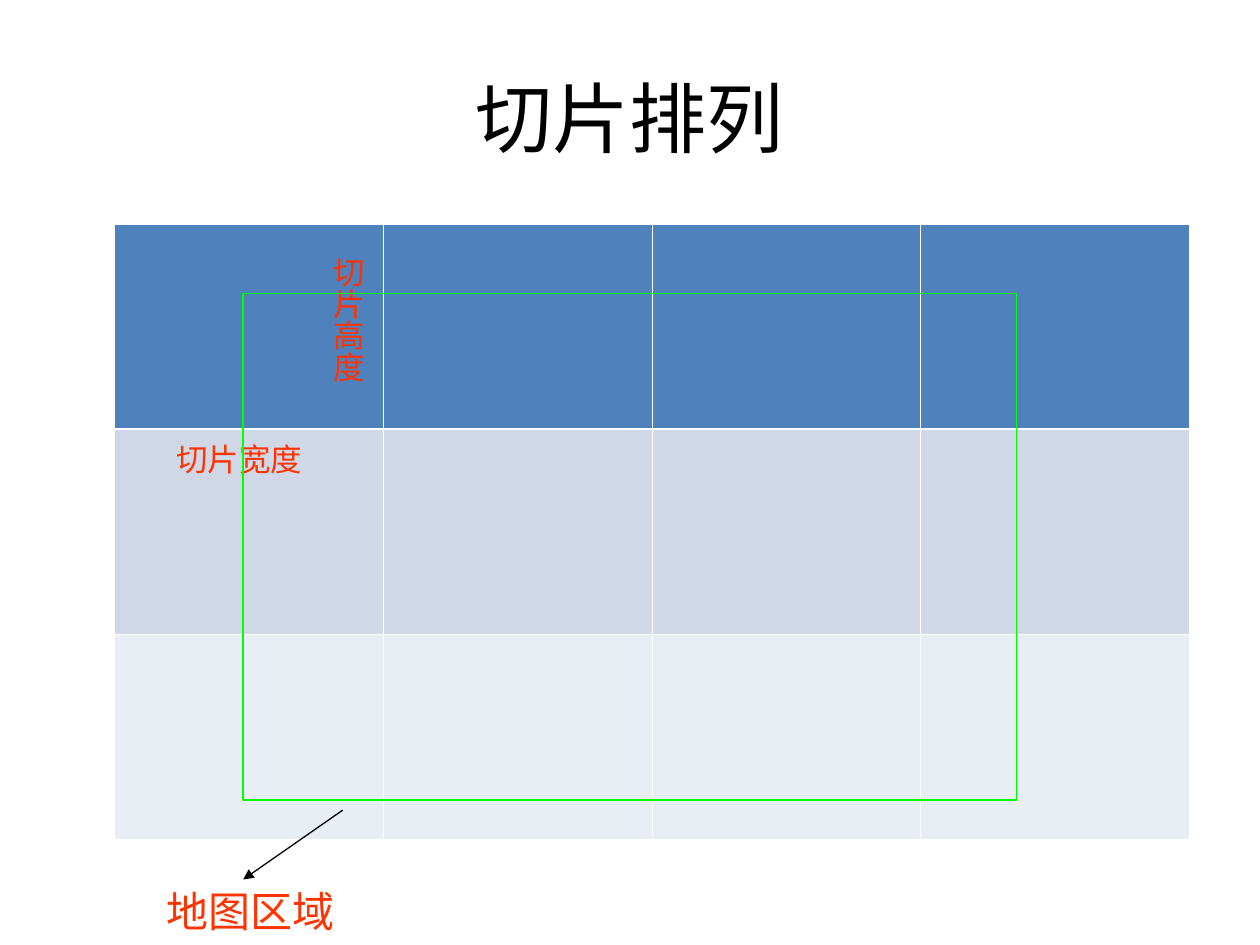
from dataclasses import dataclass

from lxml import etree
from pptx import Presentation
from pptx import util as u
from pptx.dml.color import RGBColor
from pptx.enum import shapes, text
from pptx.oxml.ns import qn
from pptx.slide import Slide


@dataclass(frozen=True)
class Theme:
    font: str = "Arial"
    ink: str = "000000"
    accent: str = "FF3300"
    region: str = "00FF00"
    grid: str = "FFFFFF"
    tile_rows: tuple[str, ...] = ("4F81BD", "D0D8E8", "E9EDF4")
    title_size: float = 44
    caption_size: float = 24
    label_size: float = 18
    outline: float = 0.75
    grid_line: float = 0.45
    header_line: float = 1.47


@dataclass(frozen=True)
class Area:
    left: float
    top: float
    width: float
    height: float

    def lengths(self) -> tuple[u.Length, ...]:
        return tuple(u.Inches(v) for v in (self.left, self.top, self.width, self.height))


@dataclass(frozen=True)
class Label:
    words: str
    area: Area
    size: float
    vertical: bool = False


THEME = Theme()
COLUMNS = 4
TITLE_AREA = Area(0.5, 0.3, 9, 1.25)
TILE_AREA = Area(0.91, 1.78, 8.53, 4.88)
MAP_AREA = Area(1.93, 2.33, 6.14, 4.02)
LABELS = (
    Label("切片宽度", Area(1.3, 3.44, 1.29, 0.4), THEME.label_size),
    Label("切片高度", Area(2.46, 1.94, 0.5, 1.34), THEME.label_size, vertical=True),
)
CAPTION = Label("地图区域", Area(1.22, 6.98, 2.42, 0.5), THEME.caption_size)


def add_text(page: Slide, words: str, area: Area, *, size: float,
             color: str = THEME.accent, align=text.PP_ALIGN.LEFT,
             anchor=text.MSO_ANCHOR.TOP, vertical: bool = False) -> None:
    frame = page.shapes.add_textbox(*area.lengths()).text_frame
    frame.word_wrap = True
    frame.vertical_anchor = anchor
    across, down = (0.05, 0.1) if vertical else (0.1, 0.05)
    frame.margin_left = frame.margin_right = u.Inches(across)
    frame.margin_top = frame.margin_bottom = u.Inches(down)
    if vertical:
        frame._txBody.bodyPr.set("vert", "eaVert")
    para = frame.paragraphs[0]
    para.alignment = align
    span = para.add_run()
    span.text = words
    span.font.name = THEME.font
    span.font.size = u.Pt(size)
    span.font.color.rgb = RGBColor.from_string(color)


def add_label(page: Slide, label: Label) -> None:
    add_text(page, label.words, label.area, size=label.size, vertical=label.vertical)


def add_border(cell, side: str, width: float) -> None:
    properties = cell._tc.get_or_add_tcPr()
    line = etree.SubElement(properties, qn(f"a:ln{side}"), w=str(u.Pt(width)))
    fill = etree.SubElement(line, qn("a:solidFill"))
    etree.SubElement(fill, qn("a:srgbClr"), val=THEME.grid)


def add_tiles(page: Slide) -> None:
    rows = len(THEME.tile_rows)
    table = page.shapes.add_table(rows, COLUMNS, *TILE_AREA.lengths()).table
    for r, color in enumerate(THEME.tile_rows):
        for cell in table.rows[r].cells:
            for side in "LRTB":
                under_header = (r, side) in ((0, "B"), (1, "T"))
                add_border(cell, side, THEME.header_line if under_header else THEME.grid_line)
            cell.fill.solid()
            cell.fill.fore_color.rgb = RGBColor.from_string(color)


def add_map_region(page: Slide) -> None:
    region = page.shapes.add_shape(shapes.MSO_SHAPE.RECTANGLE, *MAP_AREA.lengths())
    region.shadow.inherit = False
    region.fill.background()
    region.line.color.rgb = RGBColor.from_string(THEME.region)
    region.line.width = u.Pt(THEME.outline)


def add_arrow(page: Slide, start: tuple[float, float], end: tuple[float, float]) -> None:
    points = [u.Inches(v) for v in (*start, *end)]
    arrow = page.shapes.add_connector(shapes.MSO_CONNECTOR.STRAIGHT, *points)
    arrow.line.color.rgb = RGBColor.from_string(THEME.ink)
    arrow.line.width = u.Pt(THEME.outline)
    etree.SubElement(arrow.line._get_or_add_ln(), qn("a:tailEnd"), type="triangle")
    etree.SubElement(arrow._element.spPr, qn("a:effectLst"))


def main() -> None:
    deck = Presentation()
    deck.slide_width, deck.slide_height = u.Inches(10), u.Inches(7.5)
    page = deck.slides.add_slide(deck.slide_layouts[6])
    add_text(page, "切片排列", TITLE_AREA, size=THEME.title_size, color=THEME.ink,
             align=text.PP_ALIGN.CENTER, anchor=text.MSO_ANCHOR.MIDDLE)
    add_tiles(page)
    for label in LABELS:
        add_label(page, label)
    add_map_region(page)
    add_arrow(page, (2.72, 6.43), (1.93, 6.98))
    add_label(page, CAPTION)
    deck.save("out.pptx")


if __name__ == "__main__":
    main()
